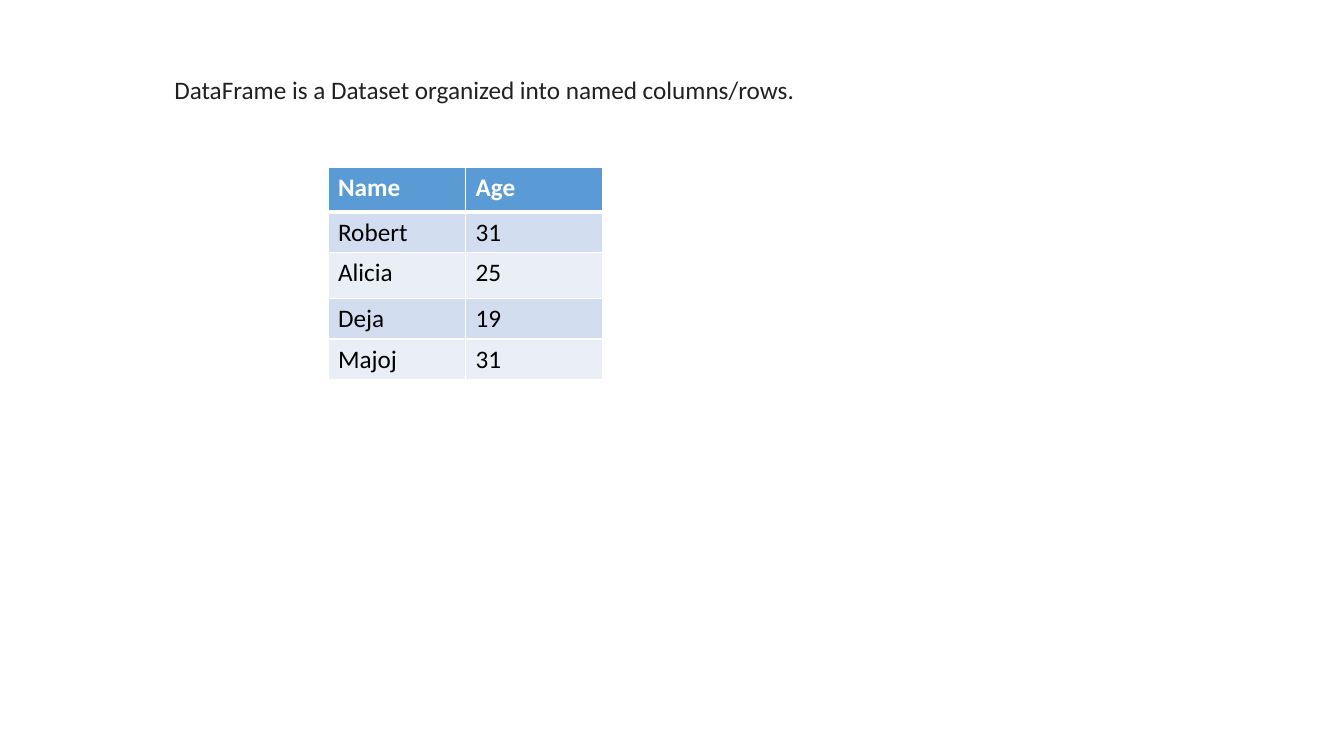
from lxml import etree
from pptx import Presentation
from pptx.dml.color import RGBColor
from pptx.oxml.ns import qn
from pptx.util import Pt

DEFINITION = "DataFrame is a Dataset organized into named columns/rows."
PEOPLE = [
    ("Name", "Age"),
    ("Robert", "31"),
    ("Alicia", "25"),
    ("Deja", "19"),
    ("Majoj", "31"),
]
ROW_HEIGHTS = [31.7, 29.2, 32.4, 29.2, 29.2]
COLUMN_WIDTH = 98.2
COLORS = {
    "definition": "212121",
    "header": "5B9BD5",
    "odd": "D2DEEF",
    "even": "EAEFF7",
    "white": "FFFFFF",
    "black": "000000",
}


def rgb(name):
    return RGBColor.from_string(COLORS[name])


def format_text(frame, color, bold=False):
    for run in frame.paragraphs[0].runs:
        run.font.name = "Calibri"
        run.font.size = Pt(18)
        run.font.bold = bold
        run.font.color.rgb = rgb(color)


def add_borders(cell, top, bottom):
    """Draw white cell borders; top and bottom widths are in points."""
    properties = cell._tc.get_or_add_tcPr()
    for side, width in (("L", 1), ("R", 1), ("T", top), ("B", bottom)):
        line = etree.SubElement(properties, qn(f"a:ln{side}"), w=str(Pt(width)))
        fill = etree.SubElement(line, qn("a:solidFill"))
        etree.SubElement(fill, qn("a:srgbClr"), val=COLORS["white"])


def add_definition(slide):
    definition = slide.shapes.add_textbox(Pt(117.4), Pt(49.7), Pt(627), Pt(291)).text_frame
    definition.word_wrap = True
    definition.text = DEFINITION
    format_text(definition, "definition")


def add_people(slide):
    columns = len(PEOPLE[0])
    people = slide.shapes.add_table(
        len(PEOPLE), columns, Pt(234.3), Pt(119.7),
        Pt(COLUMN_WIDTH * columns), Pt(sum(ROW_HEIGHTS))).table
    for column in people.columns:
        column.width = Pt(COLUMN_WIDTH)
    for r, (person, height) in enumerate(zip(PEOPLE, ROW_HEIGHTS)):
        people.rows[r].height = Pt(height)
        header = r == 0
        band = "header" if header else "odd" if r % 2 else "even"
        for c, value in enumerate(person):
            cell = people.cell(r, c)
            add_borders(cell, top=3 if r == 1 else 1, bottom=3 if header else 1)
            cell.fill.solid()
            cell.fill.fore_color.rgb = rgb(band)
            cell.text_frame.text = value
            format_text(cell.text_frame, "white" if header else "black", header)


def main():
    deck = Presentation()
    deck.slide_width, deck.slide_height = Pt(960), Pt(540)
    slide = deck.slides.add_slide(deck.slide_layouts.get_by_name("Blank"))
    add_definition(slide)
    add_people(slide)
    deck.save("out.pptx")


if __name__ == "__main__":
    main()
